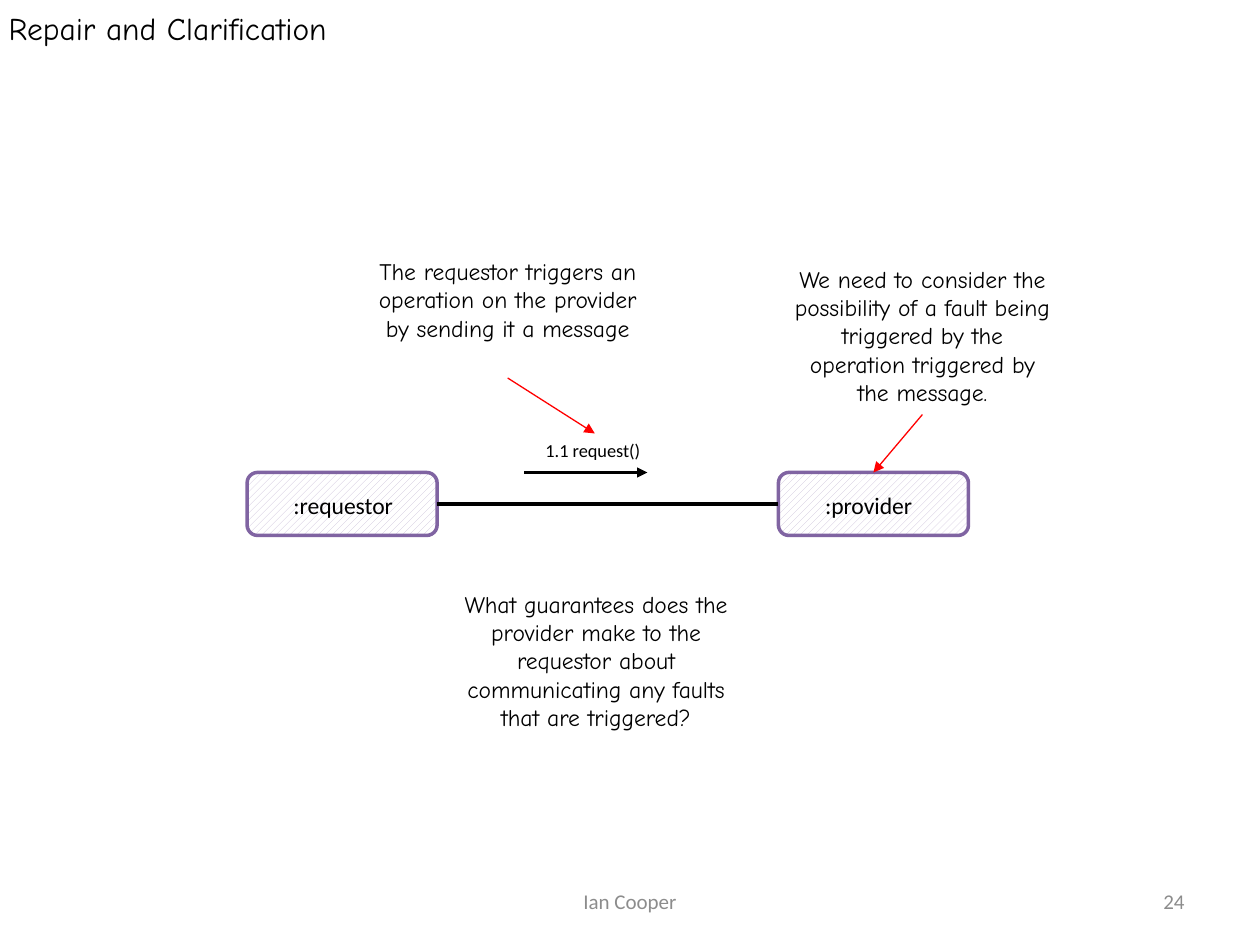
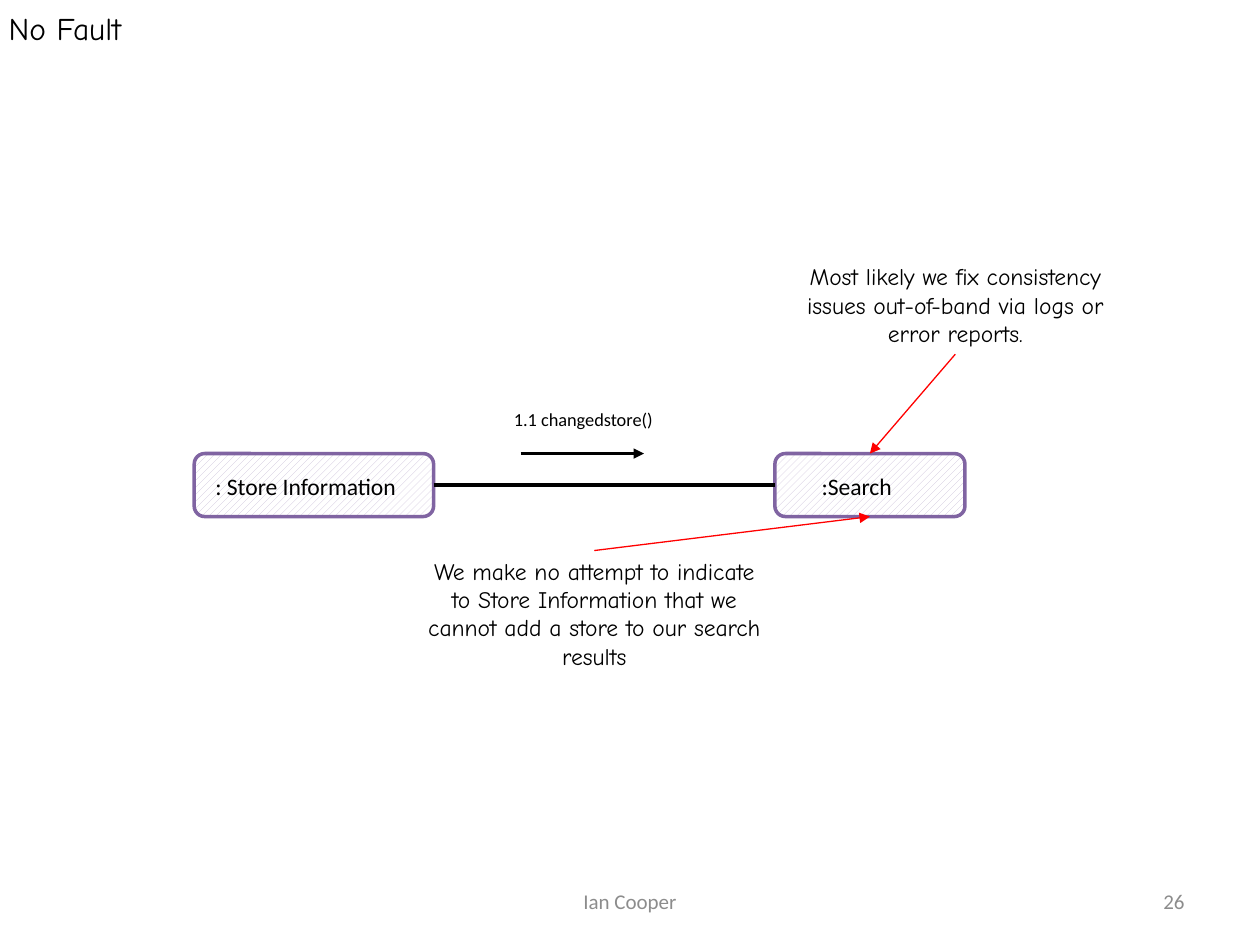
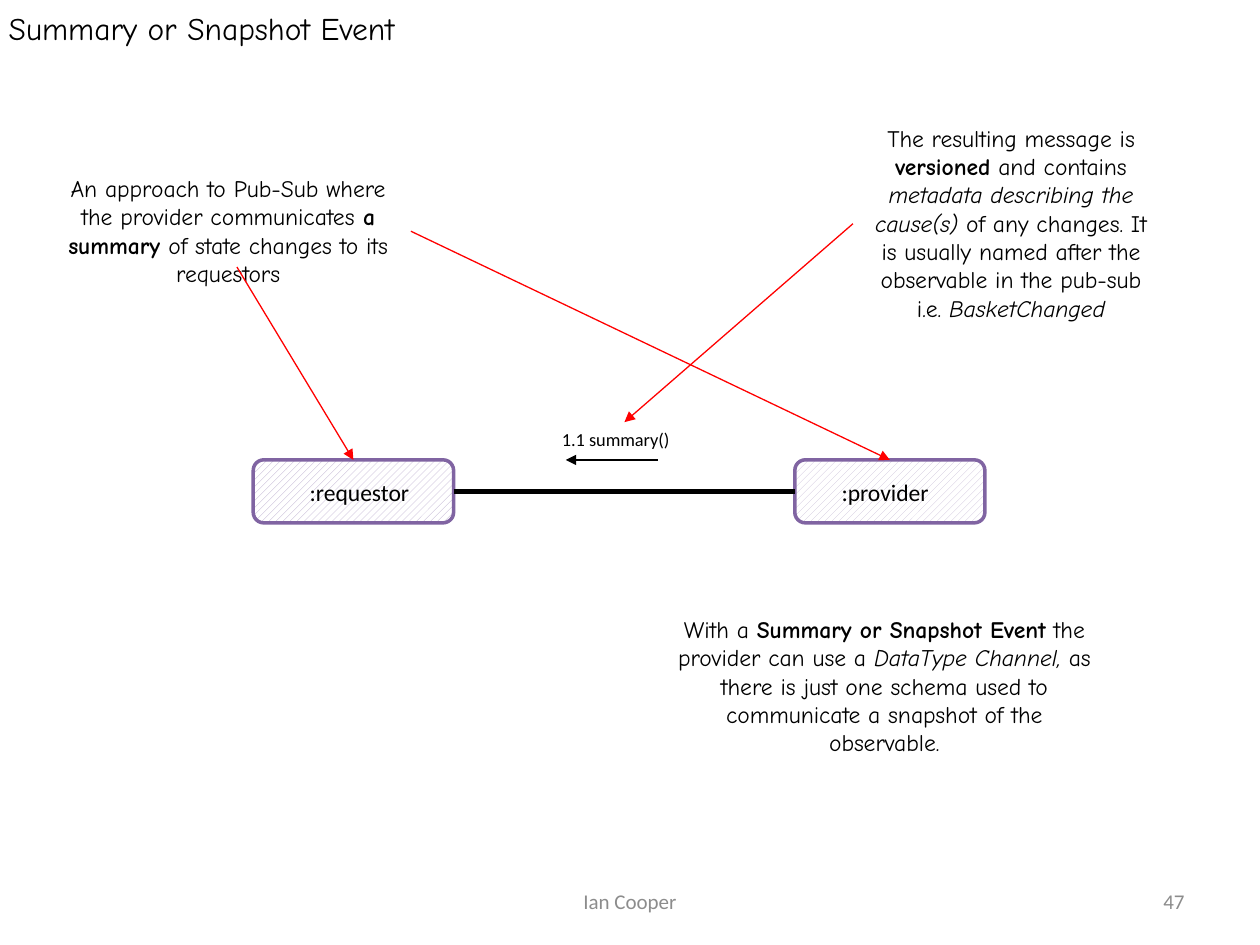
"""Build three message-exchange diagram slides with annotated participants."""
from dataclasses import dataclass

from lxml import etree
from pptx import Presentation
from pptx.dml.color import RGBColor
from pptx.enum.dml import MSO_PATTERN
from pptx.enum.shapes import MSO_CONNECTOR, MSO_SHAPE
from pptx.enum.text import MSO_ANCHOR, MSO_AUTO_SIZE, PP_ALIGN
from pptx.oxml.ns import qn
from pptx.util import Pt

HATCH = MSO_PATTERN.WIDE_UPWARD_DIAGONAL
STRAIGHT = MSO_CONNECTOR.STRAIGHT
ROUNDED = MSO_SHAPE.ROUNDED_RECTANGLE
LEFT, CENTER, RIGHT = PP_ALIGN.LEFT, PP_ALIGN.CENTER, PP_ALIGN.RIGHT
ANCHOR_TOP, ANCHOR_MIDDLE = MSO_ANCHOR.TOP, MSO_ANCHOR.MIDDLE
NO_AUTOSIZE = MSO_AUTO_SIZE.NONE
SIDE_TOP, SIDE_LEFT, SIDE_BOTTOM, SIDE_RIGHT = range(4)


@dataclass(frozen=True)
class Theme:
    hand: str = "Comic Neue"
    plain: str = "Calibri"
    ink: str = "000000"
    muted: str = "8C8C8C"
    pointer: str = "FF0000"
    border: str = "8064A2"
    hatch: str = "CCC1DA"
    dark_hatch: str = "B3A2C7"
    paper: str = "FFFFFF"
    title_size: float = 18
    body_size: float = 13.5
    message_size: float = 10.5
    footer_size: float = 12


T = Theme()
SLIDE_W, SLIDE_H = 720, 540
TITLE_BOX = (0, 0, SLIDE_W, 32.4)
TITLE_INSET = 5
AUTHOR = "Ian Cooper"
AUTHOR_BOX = (246, 500.5, 228, 28.8)
PAGE_BOX = (516, 500.5, 168, 28.8)
BOX_H, BOX_GAP, PROVIDER_W = 36, 195, 108.6
NAME_DY, NAME_H, MESSAGE_H = 7, 23.8, 20
PROVIDER_NAME = (19.6, 69)

SLIDES = [
    {
        "title": "Repair and Clarification", "page": "24",
        "left": 141.2, "top": 270, "width": 108.6, "hatch": T.hatch,
        "names": [(":requestor", 19.4, 75.6), (":provider", *PROVIDER_NAME)],
        "message": ("1.1 request()", 304.6, 247.7, 70.6),
        "arrow": (299.5, 370),
        "notes": {
            "fault": ((445, 147.6, 164.2, 89.3), [
                ("We need to consider the possibility of a fault being triggered "
                 "by the operation triggered by the message.", "")]),
            "guarantees": ((251.3, 333.4, 178.6, 89.3), [
                ("What guarantees does the provider make to the requestor about "
                 "communicating any faults that are triggered?", "")]),
            "trigger": ((208, 143.3, 164.2, 72.7), [
                ("The requestor triggers an operation on the provider by sending "
                 "it a message", "")]),
        },
        "pointers": [("fault", SIDE_BOTTOM, "provider", SIDE_TOP),
                     ("trigger", SIDE_BOTTOM, "message", SIDE_TOP)],
    },
    {
        "title": "No Fault", "page": "26",
        "left": 111, "top": 259.2, "width": 136.8, "hatch": T.hatch,
        "names": [(": Store Information", 5, 124.6), (":Search", *PROVIDER_NAME)],
        "message": ("1.1 changedstore()", 286.6, 229.7, 103),
        "arrow": (297.5, 368),
        "notes": {
            "silence": ((237, 314.6, 205.2, 72.7), [
                ("We make no attempt to indicate to Store Information that we "
                 "cannot add a store to our search results", "")]),
            "logs": ((443.3, 146.2, 205.2, 56.2), [
                ("Most likely we fix consistency issues out-of-band via logs or "
                 "error reports.", "")]),
        },
        "pointers": [("silence", SIDE_TOP, "provider", SIDE_BOTTOM),
                     ("logs", SIDE_BOTTOM, "provider", SIDE_TOP)],
    },
    {
        "title": "Summary or Snapshot Event", "page": "47",
        "left": 144.7, "top": 262.8, "width": 114.5, "hatch": T.dark_hatch,
        "names": [(":requestor", 25.2, 78.5), (":provider", *PROVIDER_NAME)],
        "message": ("1.1 summary()", 314, 241.2, 85.7),
        "arrow": (375.8, 323.3),
        "notes": {
            "approach": ((26, 95.8, 208.8, 72.7), [
                ("An approach to Pub-Sub where the provider communicates", ""),
                (" a summary ", "b"),
                ("of state changes to its requestors", "")]),
            "versioned": ((487.4, 67, 180.7, 121.7), [
                ("The resulting message is ", ""),
                ("versioned", "b"),
                (" and contains ", ""),
                ("metadata describing the cause(s)", "i"),
                (" of any changes. It is usually named after the observable in "
                 "the pub-sub i.e. ", ""),
                ("BasketChanged", "i")]),
            "channel": ((375.8, 347.8, 259.2, 89.3), [
                ("With a ", ""),
                ("Summary or Snapshot Event", "b"),
                (" the provider can use a ", ""),
                ("DataType Channel,", "i"),
                (" as there is just one schema used to communicate a snapshot of "
                 "the observable.", "")]),
        },
        "pointers": [((135.4, 152.6), None, "requestor", SIDE_TOP),
                     ("approach", SIDE_RIGHT, "provider", SIDE_TOP),
                     ("versioned", SIDE_LEFT, "message", SIDE_TOP)],
    },
]


def rgb(value):
    return RGBColor.from_string(value)


def pts(values):
    return [Pt(v) for v in values]


def style_paragraph(p, font, size, color, align):
    p.alignment = align
    for r in p.runs:
        r.font.name, r.font.size = font, Pt(size)
        r.font.color.rgb = rgb(color)


def add_text(s, box, runs, font, size, color=T.ink, align=LEFT, anchor=ANCHOR_TOP):
    sp = s.shapes.add_textbox(*pts(box))
    tf = sp.text_frame
    tf.word_wrap = True
    tf.vertical_anchor = anchor
    p = tf.paragraphs[0]
    for text, style in runs:
        r = p.add_run()
        r.text = text
        if style:
            r.font.bold, r.font.italic = style == "b", style == "i"
    style_paragraph(p, font, size, color, align)
    return sp


def add_title(s, text):
    sp = s.shapes.title
    sp.left, sp.top, sp.width, sp.height = pts(TITLE_BOX)
    tf = sp.text_frame
    tf.text = text
    tf.word_wrap, tf.auto_size = True, NO_AUTOSIZE
    tf.vertical_anchor = ANCHOR_TOP
    tf.margin_left = tf.margin_right = tf.margin_top = tf.margin_bottom = Pt(TITLE_INSET)
    style_paragraph(tf.paragraphs[0], T.hand, T.title_size, T.ink, LEFT)


def add_footer(s, page):
    for box, text, align in ((AUTHOR_BOX, AUTHOR, CENTER), (PAGE_BOX, page, RIGHT)):
        add_text(s, box, [(text, "")], T.plain, T.footer_size, T.muted, align, ANCHOR_MIDDLE)


def add_participant(s, left, top, width, hatch, name):
    sp = s.shapes.add_shape(ROUNDED, *pts((left, top, width, BOX_H)))
    sp.shadow.inherit = False
    sp.fill.patterned()
    sp.fill.pattern = HATCH
    sp.fill.fore_color.rgb, sp.fill.back_color.rgb = rgb(hatch), rgb(T.paper)
    sp.line.color.rgb, sp.line.width = rgb(T.border), Pt(2)
    text, inset, name_w = name
    add_text(s, (left + inset, top + NAME_DY, name_w, NAME_H), [(text, "")],
             T.plain, T.body_size)
    return sp


def add_line(s, color, width, start=(0, 0), end=(0, 0), head=True):
    line = s.shapes.add_connector(STRAIGHT, *pts((*start, *end)))
    line.line.color.rgb, line.line.width = rgb(color), Pt(width)
    sp_pr = line._element.spPr
    if head:
        etree.SubElement(sp_pr.find(qn("a:ln")), qn("a:tailEnd"), type="triangle")
    etree.SubElement(sp_pr, qn("a:effectLst"))
    return line


def add_diagram(s, d):
    left, top, width = d["left"], d["top"], d["width"]
    provider_left = left + width + BOX_GAP
    requestor_name, provider_name = d["names"]
    parts = {
        "requestor": add_participant(s, left, top, width, d["hatch"], requestor_name),
        "provider": add_participant(s, provider_left, top, PROVIDER_W, T.hatch, provider_name),
    }
    link = add_line(s, T.ink, 2.5, head=False)
    link.begin_connect(parts["requestor"], SIDE_RIGHT)
    link.end_connect(parts["provider"], SIDE_LEFT)

    arrow_start, arrow_end = d["arrow"]
    add_line(s, T.ink, 1.5, (arrow_start, top), (arrow_end, top))
    text, x, y, w = d["message"]
    parts["message"] = add_text(s, (x, y, w, MESSAGE_H), [(text, "")], T.plain, T.message_size)

    for key, (box, runs) in d["notes"].items():
        parts[key] = add_text(s, box, runs, T.hand, T.body_size, align=CENTER)
    for source, source_side, target, target_side in d["pointers"]:
        if source_side is None:
            line = add_line(s, T.pointer, 0.75, start=source)
        else:
            line = add_line(s, T.pointer, 0.75)
            line.begin_connect(parts[source], source_side)
        line.end_connect(parts[target], target_side)


def main():
    prs = Presentation()
    prs.slide_width, prs.slide_height = Pt(SLIDE_W), Pt(SLIDE_H)
    for d in SLIDES:
        s = prs.slides.add_slide(prs.slide_layouts[5])
        add_title(s, d["title"])
        add_footer(s, d["page"])
        add_diagram(s, d)
    prs.save("out.pptx")


if __name__ == "__main__":
    main()
